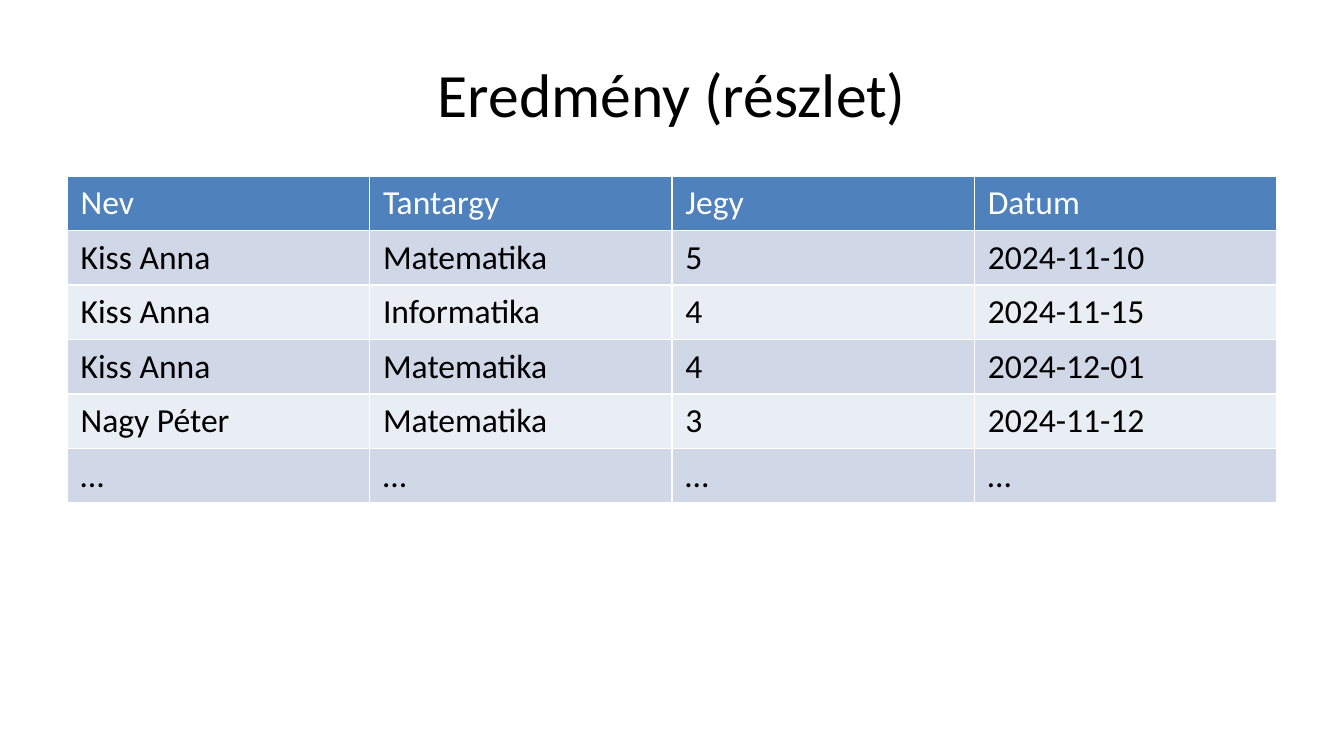
from pptx import Presentation
from pptx.dml.color import RGBColor
from pptx.enum.text import MSO_ANCHOR, PP_ALIGN
from pptx.util import Inches, Pt


def style_text(paragraph, size, color):
    for run in paragraph.runs:
        run.font.name = "Calibri"
        run.font.size = Pt(size)
        run.font.bold = False
        run.font.color.rgb = RGBColor.from_string(color)


prs = Presentation()
prs.slide_width = Inches(10)
prs.slide_height = Inches(10 * 9 / 16)
slide = prs.slides.add_slide(prs.slide_layouts[5])

title = slide.shapes.title
title.left, title.top = Inches(0.5), Inches(0.23)
title.width, title.height = Inches(9), Inches(0.93)
title.text_frame.text = "Eredmény (részlet)"
title.text_frame.vertical_anchor = MSO_ANCHOR.MIDDLE
heading = title.text_frame.paragraphs[0]
heading.alignment = PP_ALIGN.CENTER
style_text(heading, 33, "000000")

grades = [
    ("Nev", "Tantargy", "Jegy", "Datum"),
    ("Kiss Anna", "Matematika", "5", "2024-11-10"),
    ("Kiss Anna", "Informatika", "4", "2024-11-15"),
    ("Kiss Anna", "Matematika", "4", "2024-12-01"),
    ("Nagy Péter", "Matematika", "3", "2024-11-12"),
    ("…", "…", "…", "…"),
]
row_height = 0.4
grade_table = slide.shapes.add_table(
    len(grades), len(grades[0]),
    Inches(0.5), Inches(1.31), Inches(9), Inches(row_height * len(grades)),
).table

for row, record in enumerate(grades):
    if row == 0:
        fill, color = "4F81BD", "FFFFFF"
    else:
        fill, color = ("D0D8E8" if row % 2 else "E9EDF4"), "000000"
    for column, value in enumerate(record):
        cell = grade_table.cell(row, column)
        cell.fill.solid()
        cell.fill.fore_color.rgb = RGBColor.from_string(fill)
        cell.text_frame.text = value
        style_text(cell.text_frame.paragraphs[0], 18, color)

prs.save("out.pptx")
